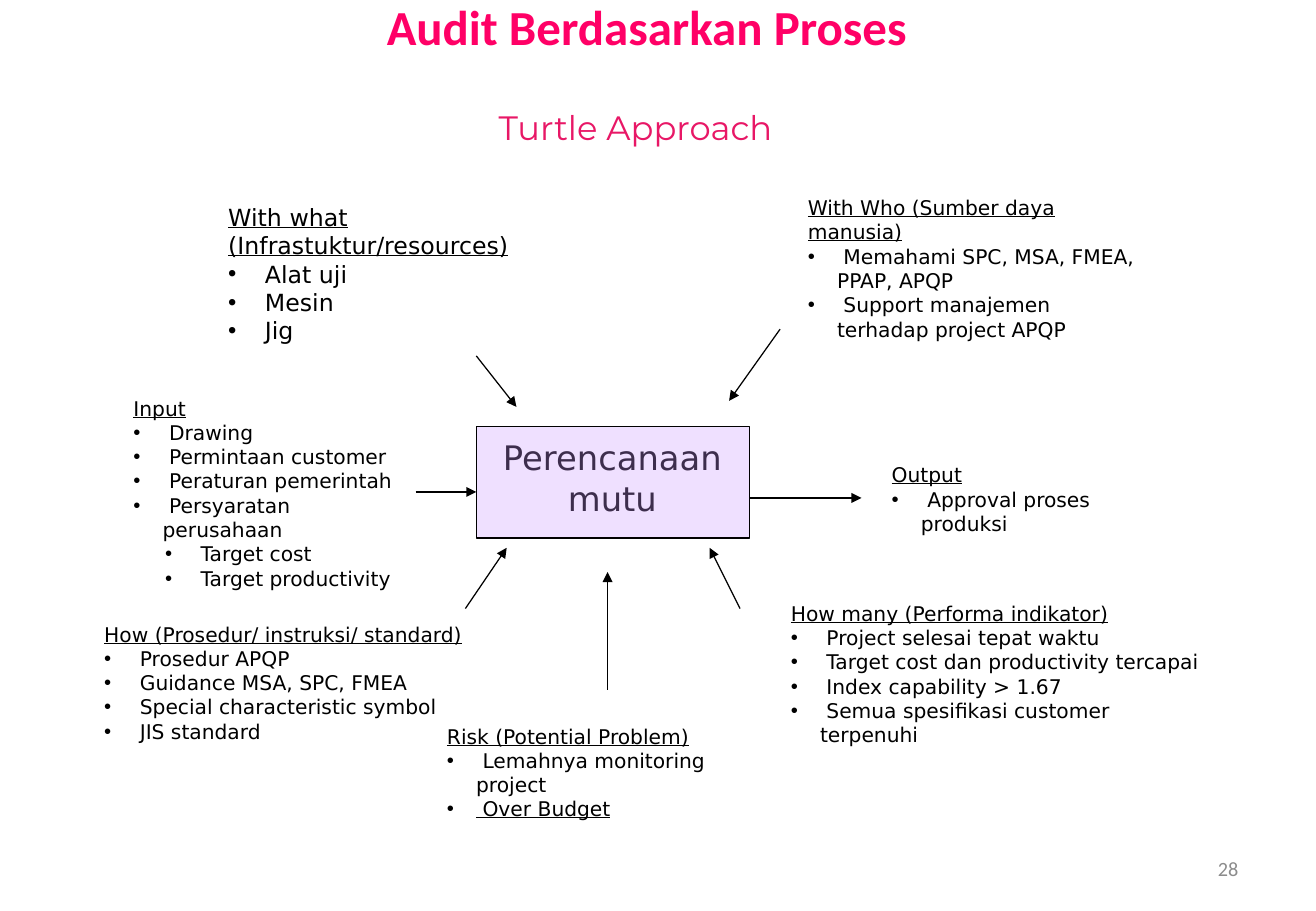
from lxml import etree
from pptx import Presentation
from pptx.dml.color import RGBColor
from pptx.enum import shapes, text
from pptx.oxml.ns import qn
from pptx.util import Inches, Pt

TITLE = "Audit Berdasarkan Proses"
APPROACH = "Turtle Approach"
PROCESS = ["Perencanaan", "mutu"]
PAGE = "28"

# place, heading, items (a nested list is one level deeper)
TOPICS = [
    ((1, 3.21, 2.45, 1.7), "Input",
     ["Drawing", "Permintaan customer", "Peraturan pemerintah",
      "Persyaratan perusahaan", ["Target cost", "Target productivity"]]),
    ((7.24, 3.76, 2.47, 0.5), "Output", ["Approval proses produksi"]),
    ((6.55, 1.56, 2.95, 1.5), "With Who (Sumber daya manusia)",
     ["Memahami SPC, MSA, FMEA, PPAP, APQP",
      "Support manajemen terhadap project APQP"]),
    ((1.78, 1.62, 2.98, 1.28), "With what (Infrastuktur/resources)",
     ["Alat uji", "Mesin", "Jig"]),
    ((0.76, 5.07, 3.24, 1.1), "How (Prosedur/ instruksi/ standard)",
     ["Prosedur APQP", "Guidance MSA, SPC, FMEA",
      "Special characteristic symbol", "JIS standard"]),
    ((6.41, 4.9, 3.58, 1.31), "How many (Performa indikator)",
     ["Project selesai tepat waktu", "Target cost dan productivity tercapai",
      "Index capability > 1.67", "Semua spesifikasi customer terpenuhi"]),
    ((3.58, 5.91, 2.85, 0.71), "Risk (Potential Problem)",
     ["Lemahnya monitoring project", "Over Budget"]),
]
LARGE = {"With what (Infrastuktur/resources)"}
MARKED = {"Over Budget"}

ARROWS = [
    (6.17, 4.1, 7.09, 4.1), (3.42, 4.05, 3.92, 4.05),
    (3.83, 5.01, 4.17, 4.51), (6.09, 5.01, 5.84, 4.51),
    (3.92, 2.93, 4.25, 3.35), (6.42, 2.71, 6, 3.3),
    (5, 5.68, 5, 4.71),
]

THEME = {
    "title": "FF0066", "approach": "E81766", "ink": "000000",
    "page": "8C8C8C", "box": "CC99FF", "alpha": 30, "line": 0.75,
    "head": "Calibri", "sub": "Montserrat", "body": "DejaVu Sans",
    "big": 29, "mid": 20, "large": 14, "small": 12,
}
HANG, STEP = 0.24, 0.26


def rgb(name):
    return RGBColor.from_string(THEME[name])


def bullet(para, level):
    props = para._p.get_or_add_pPr()
    props.set("marL", str(Inches(HANG + STEP * level)))
    props.set("indent", str(-Inches(HANG)))
    etree.SubElement(props, qn("a:buFont"), typeface="Arial")
    etree.SubElement(props, qn("a:buChar"), char="•")


def write(para, words, font="body", size="small", color="ink",
          align=text.PP_ALIGN.LEFT, bold=False, under=False, level=None):
    """Fill a paragraph; a level makes it a bullet."""
    if level is not None:
        bullet(para, level)
        para.level = level
    para.alignment = align
    run = para.add_run()
    run.text = words
    run.font.name, run.font.size = THEME[font], Pt(THEME[size])
    run.font.color.rgb = rgb(color)
    run.font.bold, run.font.underline = bold, under


def add_box(slide, place, wrap=True):
    frame = slide.shapes.add_textbox(*map(Inches, place)).text_frame
    frame.word_wrap = wrap
    return frame


def add_lines(frame, lines):
    """Write (words, format) pairs, one paragraph each."""
    for i, (words, form) in enumerate(lines):
        para = frame.add_paragraph() if i else frame.paragraphs[0]
        write(para, words, **form)


def flatten(items, level=0):
    for item in items:
        if isinstance(item, list):
            yield from flatten(item, level + 1)
        else:
            yield item, level


def add_topic(slide, place, head, items):
    size = "large" if head in LARGE else "small"
    lines = [(head, {"under": True, "size": size})]
    lines += [(f" {item}", {"level": level, "size": size, "under": item in MARKED})
              for item, level in flatten(items)]
    add_lines(add_box(slide, place), lines)


def add_arrow(slide, ends):
    arrow = slide.shapes.add_connector(
        shapes.MSO_CONNECTOR.STRAIGHT, *map(Inches, ends))
    arrow.line.color.rgb = rgb("ink")
    arrow.line.width = Pt(THEME["line"])
    etree.SubElement(arrow.line._get_or_add_ln(), qn("a:tailEnd"), type="triangle")
    etree.SubElement(arrow._element.spPr, qn("a:effectLst"))


def add_process(slide):
    """The process name, under a see-through panel."""
    center = {"size": "mid", "align": text.PP_ALIGN.CENTER}
    add_lines(add_box(slide, (4, 3.55, 2.08, 0.77), wrap=False),
              [(words, center) for words in PROCESS])
    panel = slide.shapes.add_shape(
        shapes.MSO_SHAPE.RECTANGLE, *map(Inches, (3.92, 3.51, 2.25, 0.92)))
    panel.shadow.inherit = False
    panel.fill.solid()
    panel.fill.fore_color.rgb = rgb("box")
    tint = panel._element.spPr.find(".//" + qn("a:srgbClr"))
    etree.SubElement(tint, qn("a:alpha"), val=str(THEME["alpha"] * 1000))
    panel.line.color.rgb = rgb("ink")
    panel.line.width = Pt(THEME["line"])


def main():
    deck = Presentation()
    deck.slide_width, deck.slide_height = Inches(10.83), Inches(7.5)
    slide = deck.slides.add_slide(deck.slide_layouts[5])

    title = slide.shapes.title
    title.left, title.top, title.width, title.height = map(
        Inches, (0.45, -0.08, 9.75, 1.25))
    title.text_frame.vertical_anchor = text.MSO_ANCHOR.TOP
    write(title.text_frame.paragraphs[0], TITLE, font="head", size="big",
          color="title", align=text.PP_ALIGN.CENTER, bold=True)

    add_process(slide)
    for topic in TOPICS:
        add_topic(slide, *topic)
    for ends in ARROWS:
        add_arrow(slide, ends)

    write(add_box(slide, (3.88, 0.83, 2.7, 0.4), wrap=False).paragraphs[0],
          APPROACH, font="sub", size="mid", color="approach",
          align=text.PP_ALIGN.CENTER)
    page = add_box(slide, (7.76, 6.95, 2.53, 0.4))
    page.vertical_anchor = text.MSO_ANCHOR.MIDDLE
    write(page.paragraphs[0], PAGE, font="head", color="page",
          align=text.PP_ALIGN.RIGHT)
    deck.save("out.pptx")


if __name__ == "__main__":
    main()
